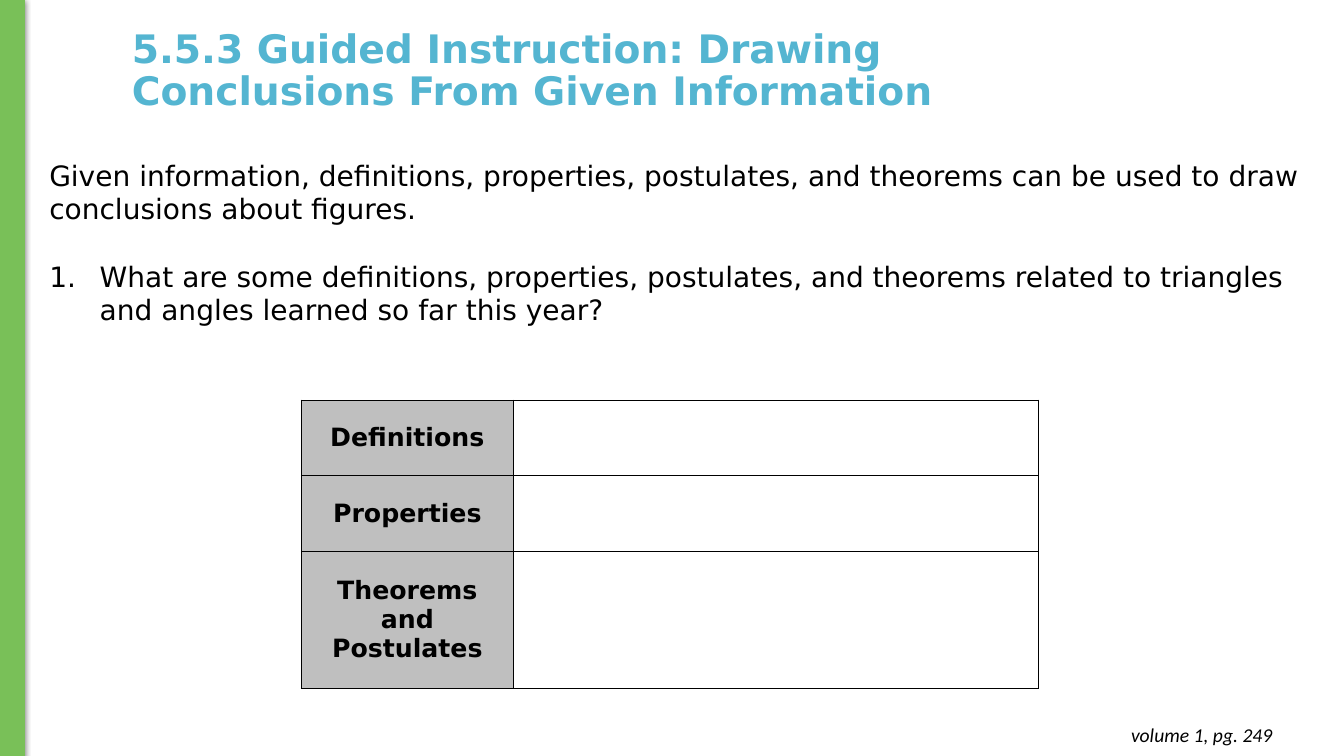
from lxml import etree
from pptx import Presentation
from pptx.dml.color import RGBColor
from pptx.enum.shapes import MSO_SHAPE
from pptx.enum.text import MSO_ANCHOR, MSO_AUTO_SIZE, PP_ALIGN
from pptx.oxml import parse_xml
from pptx.oxml.ns import nsdecls, qn
from pptx.util import Pt

PX = 9144  # EMU per px, 100 px to the inch
GREEN = RGBColor(0x79, 0xC0, 0x58)
BLUE = RGBColor(0x54, 0xB5, 0xD1)
GRAY = RGBColor(0xBF, 0xBF, 0xBF)
BLACK = RGBColor(0, 0, 0)
SANS = "DejaVu Sans"

TITLE = "5.5.3 Guided Instruction: Drawing Conclusions From Given Information"
INTRO = ("Given information, definitions, properties, postulates, and theorems "
         "can be used to draw conclusions about figures.")
QUESTION = ("What are some definitions, properties, postulates, and theorems "
            "related to triangles and angles learned so far this year?")
CATEGORIES = [("Definitions", 75), ("Properties", 75), ("Theorems and Postulates", 136)]
COLUMN_WIDTHS = [210, 521]


def px(*lengths):
    return [length * PX for length in lengths]


def set_font(paragraph, size, color=BLACK, name=SANS, bold=False, italic=False):
    font = paragraph.font
    font.size, font.name, font.bold, font.italic = Pt(size), name, bold, italic
    font.color.rgb = color


def add_side_bar(slide):
    bar = slide.shapes.add_shape(MSO_SHAPE.RECTANGLE, *px(0, -1, 24, 751))
    bar.fill.solid()
    bar.fill.fore_color.rgb = GREEN
    bar.line.color.rgb = GREEN
    bar.line.width = Pt(0.75)
    bar.shadow.inherit = False
    effects = bar._element.spPr.find(qn("a:effectLst"))
    effects.append(parse_xml(
        f'<a:outerShdw {nsdecls("a")} blurRad="{Pt(4.5)}" dist="{Pt(1.5)}" dir="5400000" '
        'rotWithShape="0"><a:srgbClr val="000000"><a:alpha val="50000"/></a:srgbClr>'
        '</a:outerShdw>'))


def add_text(slide, box, texts, grow=True):
    """Add a wrapping text box with one paragraph per text; return its frame."""
    frame = slide.shapes.add_textbox(*px(*box)).text_frame
    frame.word_wrap = True
    frame.auto_size = MSO_AUTO_SIZE.SHAPE_TO_FIT_TEXT if grow else MSO_AUTO_SIZE.NONE
    frame.text = "\n".join(texts)
    return frame


def add_title(slide):
    frame = add_text(slide, (121, -1, 877, 145), [TITLE], grow=False)
    frame.vertical_anchor = MSO_ANCHOR.MIDDLE
    paragraph = frame.paragraphs[0]
    paragraph.line_spacing = 0.9
    set_font(paragraph, 28, BLUE, bold=True)


def add_page_reference(slide):
    frame = add_text(slide, (984, 707, 288, 44), ["volume 1, pg. 249"])
    frame.margin_top = frame.margin_bottom = 10 * PX
    paragraph = frame.paragraphs[0]
    paragraph.alignment = PP_ALIGN.RIGHT
    set_font(paragraph, 14, name="Calibri", italic=True)


def number_paragraph(paragraph, indent):
    properties = paragraph._p.get_or_add_pPr()
    properties.set("marL", str(indent * PX))
    properties.set("indent", str(-indent * PX))
    etree.SubElement(properties, qn("a:buFont"), typeface=SANS)
    etree.SubElement(properties, qn("a:buAutoNum"), type="arabicPeriod")


def add_body(slide):
    intro, question = add_text(slide, (39, 152, 1268, 178), [INTRO, QUESTION]).paragraphs
    number_paragraph(question, 50)
    question.space_before = Pt(24)
    for paragraph in (intro, question):
        set_font(paragraph, 20)


def set_borders(cell):
    properties = cell._tc.get_or_add_tcPr()
    for side in ("lnL", "lnR", "lnT", "lnB"):
        properties.append(parse_xml(
            f'<a:{side} {nsdecls("a")} w="{Pt(1)}"><a:solidFill>'
            f'<a:srgbClr val="{BLACK}"/></a:solidFill></a:{side}>'))


def add_category_table(slide):
    heights = [height for _, height in CATEGORIES]
    table = slide.shapes.add_table(
        len(heights), len(COLUMN_WIDTHS),
        *px(299, 397, sum(COLUMN_WIDTHS), sum(heights))).table
    table.first_row = table.horz_banding = False
    for column, width in zip(table.columns, COLUMN_WIDTHS):
        column.width = width * PX
    for row, (category, height) in zip(table.rows, CATEGORIES):
        row.height = height * PX
        label, answer = row.cells
        for cell in (label, answer):
            set_borders(cell)
        answer.fill.background()
        label.fill.solid()
        label.fill.fore_color.rgb = GRAY
        label.vertical_anchor = MSO_ANCHOR.MIDDLE
        label.margin_left = label.margin_right = 7 * PX
        label.margin_top = label.margin_bottom = 0
        label.text = category
        paragraph = label.text_frame.paragraphs[0]
        paragraph.alignment = PP_ALIGN.CENTER
        set_font(paragraph, 18, bold=True)


def main():
    presentation = Presentation()
    presentation.slide_width, presentation.slide_height = px(1333, 750)
    slide = presentation.slides.add_slide(presentation.slide_layouts[6])
    add_side_bar(slide)
    add_title(slide)
    add_page_reference(slide)
    add_body(slide)
    add_category_table(slide)
    presentation.save("out.pptx")


if __name__ == "__main__":
    main()
